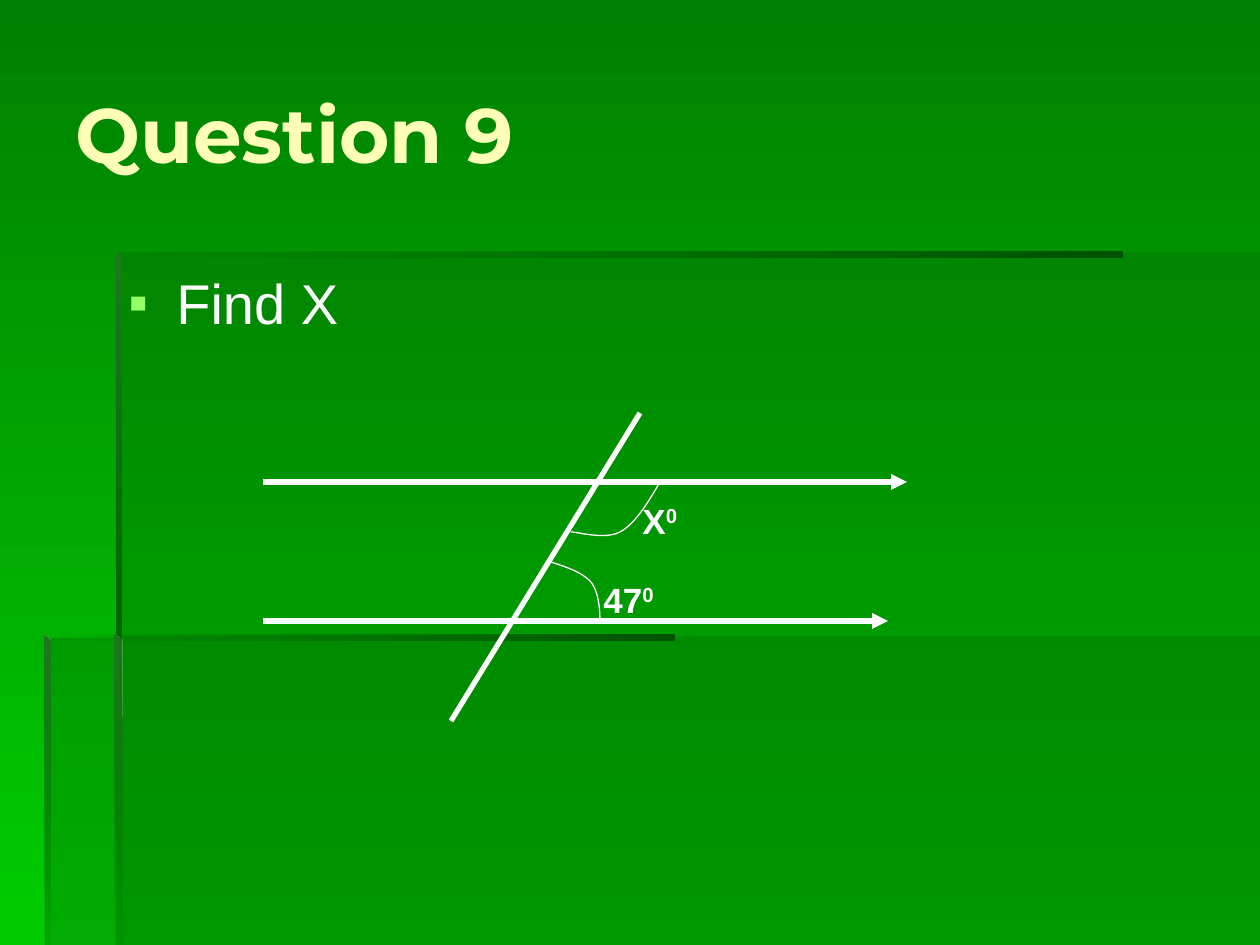
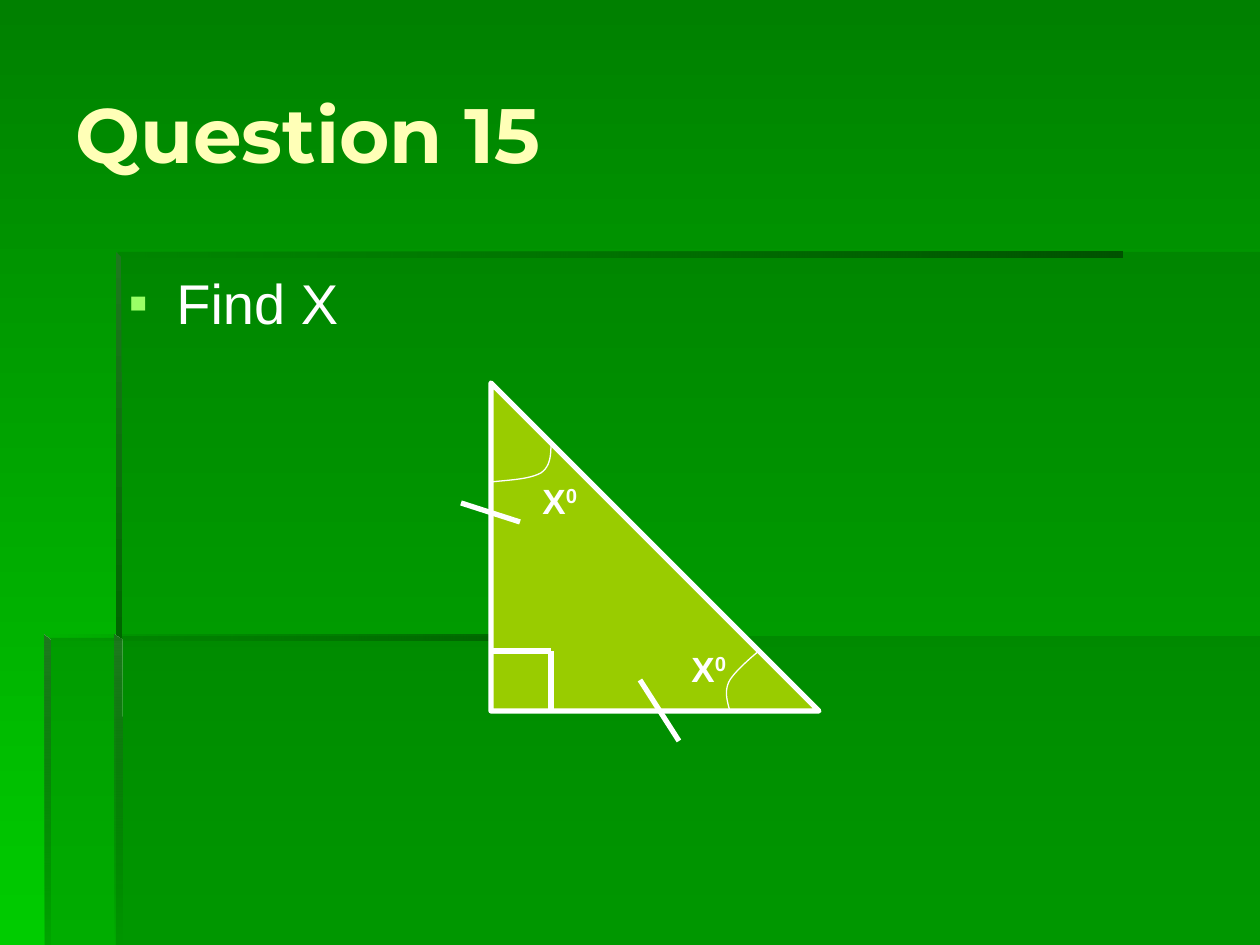
import pptx
import pptx.util
import pptx.dml.color
import pptx.enum.shapes
import pptx.enum.text
import pptx.oxml.ns
import lxml.etree

SCALE = 914400 / 126
WIDTH, HEIGHT = 1260, 945
COLOURS = {
    "top": "008000", "bottom": "00CC00", "panel": "006600",
    "edge": "005300", "bevel": "1E781E", "title": "FFFFB7",
    "text": "FFFFFF", "bullet": "99FF66", "triangle": "99CC00",
}
PANELS = [
    [(116, 636), (116, 945), (1260, 945), (1260, 636)],
    [(118, 638), (45, 638), (45, 945), (1260, 945), (1260, 252), (118, 252)],
]
BARS = [
    ([(116, 252), (116, 258), (1123, 258), (1123, 252)], "edge", 180, 0),
    ([(116, 252), (116, 643), (122, 643), (121, 257)], "bevel", 270, 100),
    ([(115, 945), (122, 945), (121, 640), (115, 635)], "bevel", 270, 0),
    ([(44, 635), (44, 641), (674, 641), (674, 635)], "edge", 180, 0),
    ([(44, 635), (44, 945), (50, 945), (50, 641)], "bevel", 270, 10),
]


def px(length):
    return round(length * SCALE)


def colour(name):
    return pptx.dml.color.RGBColor.from_string(COLOURS[name])


def add_xml(parent, tag, **attributes):
    return lxml.etree.SubElement(parent, pptx.oxml.ns.qn(tag), attributes)


def add_span(para, text, size=20, font="Arial", ink="text", bold=False, raised=False):
    span = para.add_run()
    span.text = text
    span.font.size = pptx.util.Pt(size)
    span.font.name = font
    span.font.bold = bold
    span.font.color.rgb = colour(ink)
    if raised:
        span._r.get_or_add_rPr().set("baseline", "30000")


def bezier(start, first, second, end, steps=12):
    for step in range(1, steps + 1):
        t = step / steps
        weights = ((1 - t) ** 3, 3 * t * (1 - t) ** 2, 3 * t * t * (1 - t), t ** 3)
        yield tuple(sum(weight * value for weight, value in zip(weights, values))
                    for values in zip(start, first, second, end))


class Quiz:
    def __init__(self):
        self.deck = pptx.Presentation()
        self.deck.slide_width = px(WIDTH)
        self.deck.slide_height = px(HEIGHT)
        self.page = None

    def question(self, number):
        self.page = self.deck.slides.add_slide(self.deck.slide_layouts[6])
        self.gradient(self.page.background.fill, "top", "bottom", 270)
        for points in PANELS:
            panel = self.outline(points)
            panel.fill.solid()
            panel.fill.fore_color.rgb = colour("panel")
            self.opacity(panel, 30)
        for points, start, angle, end_opacity in BARS:
            bar = self.outline(points)
            self.gradient(bar.fill, start, "panel", angle)
            self.opacity(bar, 100, end_opacity)
        para = self.text_box(63, 34, 1155, 198, middle=True)
        add_span(para, f"Question {number}", size=44, font="Montserrat", ink="title", bold=True)
        para = self.text_box(116, 262, 1104, 577, before=8)
        self.bullet(para)
        add_span(para, "Find X", size=32)

    def gradient(self, fill, start, end, angle):
        fill.gradient()
        fill.gradient_angle = angle
        for stop, name in zip(fill.gradient_stops, (start, end)):
            stop.color.rgb = colour(name)

    def opacity(self, shape, *percents):
        tints = shape._element.spPr.iter(pptx.oxml.ns.qn("a:srgbClr"))
        for tint, percent in zip(list(tints), percents):
            if percent < 100:
                add_xml(tint, "a:alpha", val=str(percent * 1000))

    def outline(self, points, closed=True):
        corners = [(px(x), px(y)) for x, y in points]
        builder = self.page.shapes.build_freeform(*corners[0], scale=1.0)
        builder.add_line_segments(corners[1:], close=closed)
        shape = builder.convert_to_shape()
        shape.shadow.inherit = False
        shape.line.fill.background()
        return shape

    def stroke(self, line, width):
        line.color.rgb = colour("text")
        line.width = pptx.util.Pt(width)

    def arc(self, *points):
        curve = [points[0], *bezier(*points[:4]), *bezier(*points[3:])]
        shape = self.outline(curve, closed=False)
        shape.fill.background()
        self.stroke(shape.line, 0.75)

    def line(self, x1, y1, x2, y2, arrow=False):
        connector = self.page.shapes.add_connector(
            pptx.enum.shapes.MSO_CONNECTOR.STRAIGHT, px(x1), px(y1), px(x2), px(y2))
        self.stroke(connector.line, 3)
        if arrow:
            add_xml(connector.line._get_or_add_ln(), "a:tailEnd", type="triangle")
        add_xml(connector._element.spPr, "a:effectLst")

    def right_triangle(self, left, top, side):
        shape = self.page.shapes.add_shape(
            pptx.enum.shapes.MSO_SHAPE.RIGHT_TRIANGLE, px(left), px(top), px(side), px(side))
        shape.shadow.inherit = False
        shape.fill.solid()
        shape.fill.fore_color.rgb = colour("triangle")
        self.stroke(shape.line, 3)

    def text_box(self, left, top, width, height, before=0, middle=False, grow=False):
        box = self.page.shapes.add_textbox(px(left), px(top), px(width), px(height))
        frame = box.text_frame
        frame.word_wrap = True
        if middle:
            frame.vertical_anchor = pptx.enum.text.MSO_ANCHOR.MIDDLE
        if grow:
            frame.auto_size = pptx.enum.text.MSO_AUTO_SIZE.SHAPE_TO_FIT_TEXT
        para = frame.paragraphs[0]
        para.space_before = pptx.util.Pt(before)
        return para

    def bullet(self, para):
        properties = para._p.get_or_add_pPr()
        properties.set("marL", str(px(48)))
        properties.set("indent", str(-px(48)))
        add_xml(add_xml(properties, "a:buClr"), "a:srgbClr", val=COLOURS["bullet"])
        add_xml(properties, "a:buFont", typeface="Arial")
        add_xml(properties, "a:buChar", char="▪")

    def angle_label(self, left, top, text):
        para = self.text_box(left, top, 79, 55, before=12.5, grow=True)
        add_span(para, text, bold=True)
        add_span(para, "0", bold=True, raised=True)


def parallel_lines(quiz):
    quiz.question(9)
    quiz.line(263, 482, 907, 482, arrow=True)
    quiz.line(263, 621, 888, 621, arrow=True)
    quiz.line(640, 413, 451, 721)
    quiz.arc((660, 482), (648, 503), (635, 524), (620, 532), (605, 540), (578, 532), (571, 532))
    quiz.arc((551, 562), (566, 567), (582, 572), (591, 582), (598, 591), (600, 606), (600, 621))
    quiz.angle_label(630, 493, "X")
    quiz.angle_label(591, 572, "47")


def isosceles_triangle(quiz):
    quiz.question(15)
    quiz.right_triangle(491, 383, 328)
    quiz.line(461, 503, 520, 522)
    quiz.line(640, 680, 679, 741)
    quiz.line(491, 651, 551, 651)
    quiz.line(551, 651, 551, 711)
    quiz.arc((759, 651), (747, 661), (735, 672), (730, 680), (724, 690), (727, 701), (730, 711))
    quiz.angle_label(679, 641, "X")
    quiz.arc((491, 482), (512, 480), (530, 479), (541, 473), (551, 466), (551, 454), (551, 442))
    quiz.angle_label(530, 473, "X")


def main():
    quiz = Quiz()
    parallel_lines(quiz)
    isosceles_triangle(quiz)
    quiz.deck.save("out.pptx")


if __name__ == "__main__":
    main()
